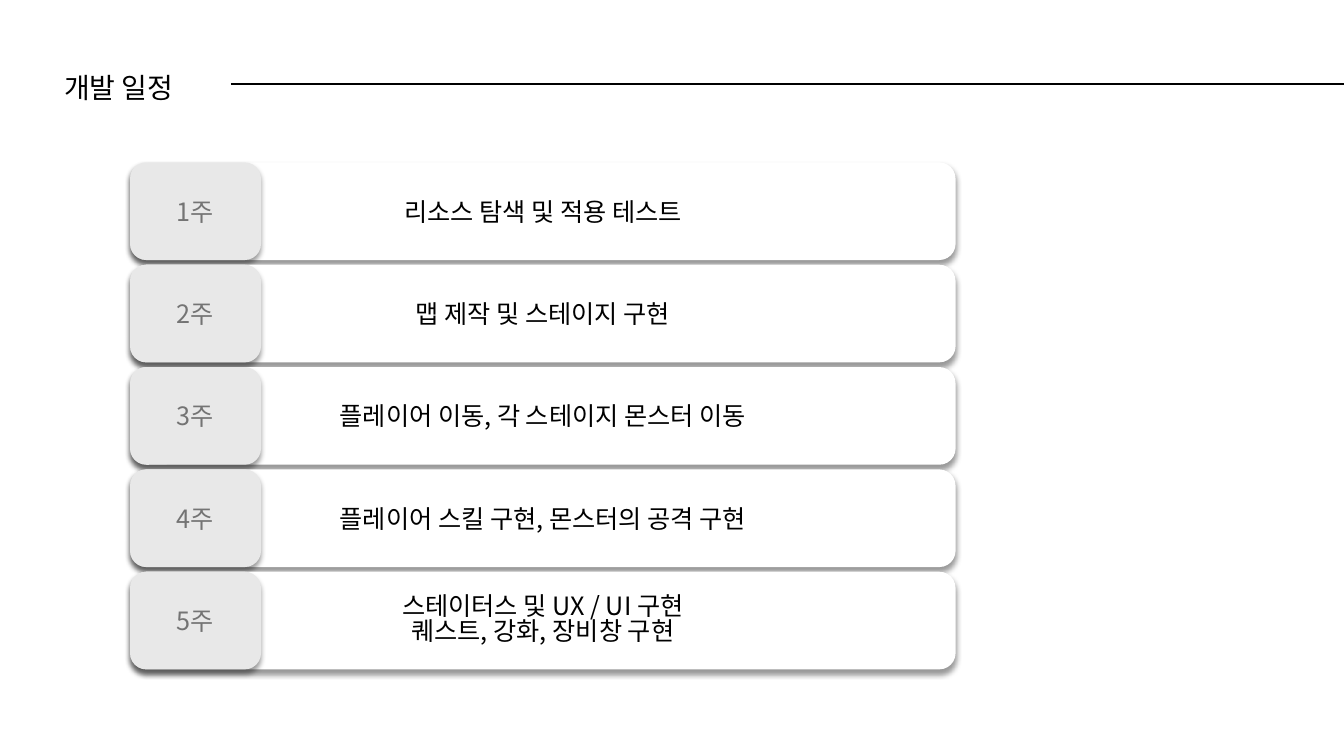
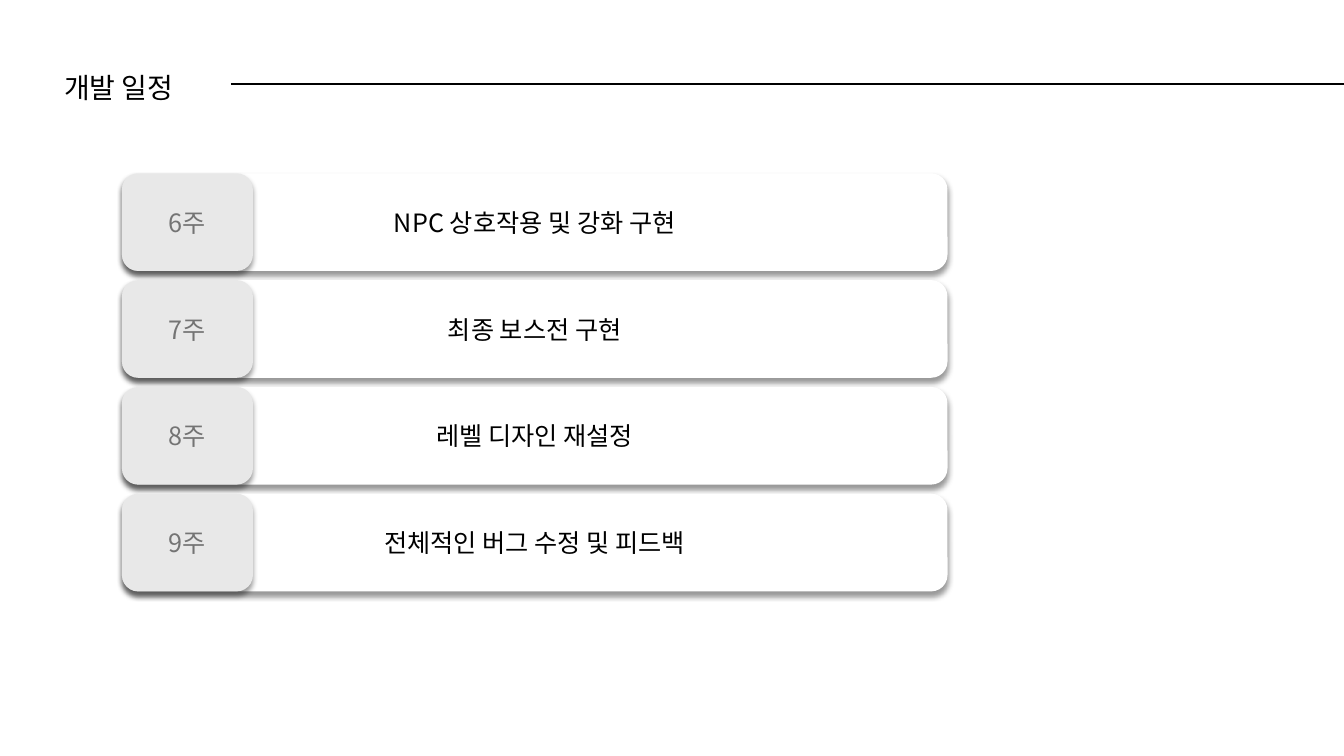
from dataclasses import dataclass

from lxml.etree import SubElement
from pptx import Presentation
from pptx.dml.color import RGBColor as Rgb
from pptx.enum.shapes import MSO_CONNECTOR as Link, MSO_SHAPE as Form
from pptx.enum.text import MSO_ANCHOR as Anchor, MSO_AUTO_SIZE as Fit, PP_ALIGN as Align
from pptx.oxml.ns import qn
from pptx.shapes.autoshape import Shape
from pptx.slide import Slide
from pptx.text.text import TextFrame
from pptx.util import Pt


@dataclass(frozen=True)
class Theme:
    font: str = "Noto Sans CJK KR"
    ink: Rgb = Rgb(0, 0, 0)
    paper: Rgb = Rgb(255, 255, 255)
    tab: Rgb = Rgb(0xE8, 0xE8, 0xE8)
    muted: Rgb = Rgb(0x74, 0x74, 0x74)
    head: float = 20
    body: float = 18
    lead: float = 0.82  # line spacing of two-line cards


@dataclass(frozen=True)
class Plan:
    """One slide: first week number, place of the rows, and their tasks."""
    first: int
    left: float
    top: float
    pitch: float
    tasks: tuple[str, ...]


THEME = Theme()
WIDTH, HEIGHT = 960, 540
CARD_W, TAB_W, ROW_H = 589.7, 93.6, 69.8
TITLE = "개발 일정"

PLANS = (
    Plan(1, 92.9, 116, 73.1, (
        "리소스 탐색 및 적용 테스트",
        "맵 제작 및 스테이지 구현",
        "플레이어 이동, 각 스테이지 몬스터 이동",
        "플레이어 스킬 구현, 몬스터의 공격 구현",
        "스테이터스 및 UX / UI 구현\n퀘스트, 강화, 장비창 구현",
    )),
    Plan(6, 87.1, 123.8, 76.3, (
        "NPC 상호작용 및 강화 구현",
        "최종 보스전 구현",
        "레벨 디자인 재설정",
        "전체적인 버그 수정 및 피드백",
    )),
)


# Text and effects
def write(frame: TextFrame, text: str, size: float, color: Rgb) -> None:
    frame.text = text
    frame.vertical_anchor = Anchor.MIDDLE
    for para in frame.paragraphs:
        para.alignment = Align.CENTER
        font = para.font
        font.name, font.size = THEME.font, Pt(size)
        font.color.rgb = color
        # East Asian typeface, next to the Latin one
        props = para._p.pPr.find(qn("a:defRPr"))
        SubElement(props, qn("a:ea"), typeface=THEME.font)
        if len(frame.paragraphs) > 1:
            para.line_spacing = THEME.lead


def shade(shape: Shape) -> None:
    shape.shadow.inherit = False
    effects = shape._element.spPr.find(qn("a:effectLst"))
    outer = SubElement(effects, qn("a:outerShdw"), blurRad=str(Pt(4)),
                       dist=str(Pt(3)), dir="5400000", algn="t", rotWithShape="0")
    color = SubElement(outer, qn("a:srgbClr"), val=str(THEME.ink))
    SubElement(color, qn("a:alpha"), val="40000")


# Slide parts
def add_head(slide: Slide) -> None:
    rule = slide.shapes.add_connector(Link.STRAIGHT, Pt(165), Pt(60), Pt(WIDTH), Pt(60))
    rule.line.color.rgb = THEME.ink
    rule.line.width = Pt(1.5)
    SubElement(rule._element.spPr, qn("a:effectLst"))

    title = slide.shapes.title
    title.left, title.top, title.width, title.height = Pt(33.8), Pt(46.8), Pt(102.2), Pt(31.7)
    frame = title.text_frame
    write(frame, TITLE, THEME.head, THEME.ink)
    frame.auto_size = Fit.NONE
    frame.word_wrap = False


def add_card(slide: Slide, left: float, top: float, width: float,
             text: str, fill: Rgb, color: Rgb) -> None:
    card = slide.shapes.add_shape(Form.ROUNDED_RECTANGLE, Pt(left), Pt(top), Pt(width), Pt(ROW_H))
    card.fill.solid()
    card.fill.fore_color.rgb = fill
    card.line.fill.background()
    shade(card)
    write(card.text_frame, text, THEME.body, color)


def add_plan(slide: Slide, plan: Plan) -> None:
    for row, task in enumerate(plan.tasks):
        top = plan.top + row * plan.pitch
        add_card(slide, plan.left, top, CARD_W, task, THEME.paper, THEME.ink)
        add_card(slide, plan.left, top, TAB_W, f"{plan.first + row}주", THEME.tab, THEME.muted)


def main() -> None:
    deck = Presentation()
    deck.slide_width, deck.slide_height = Pt(WIDTH), Pt(HEIGHT)
    layout = deck.slide_layouts[5]  # title only
    for plan in PLANS:
        slide = deck.slides.add_slide(layout)
        add_head(slide)
        add_plan(slide, plan)
    deck.save("out.pptx")


if __name__ == "__main__":
    main()
